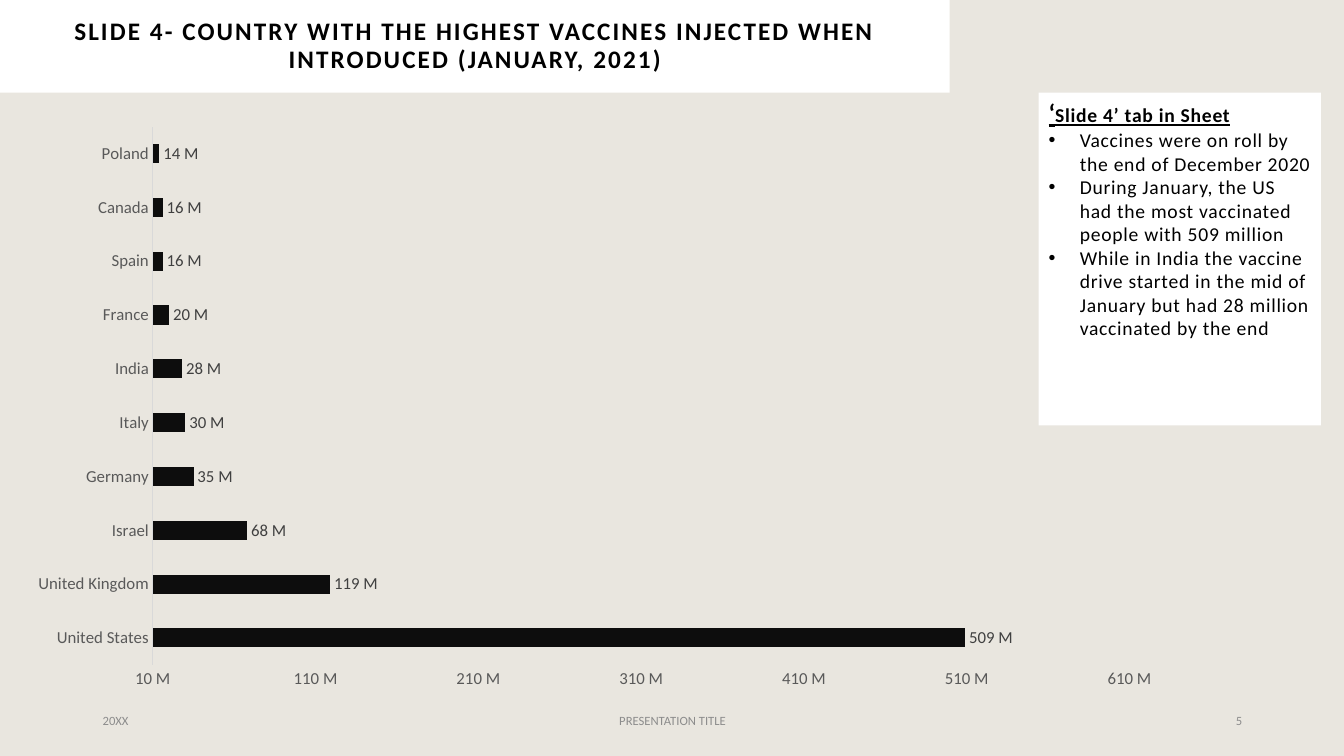
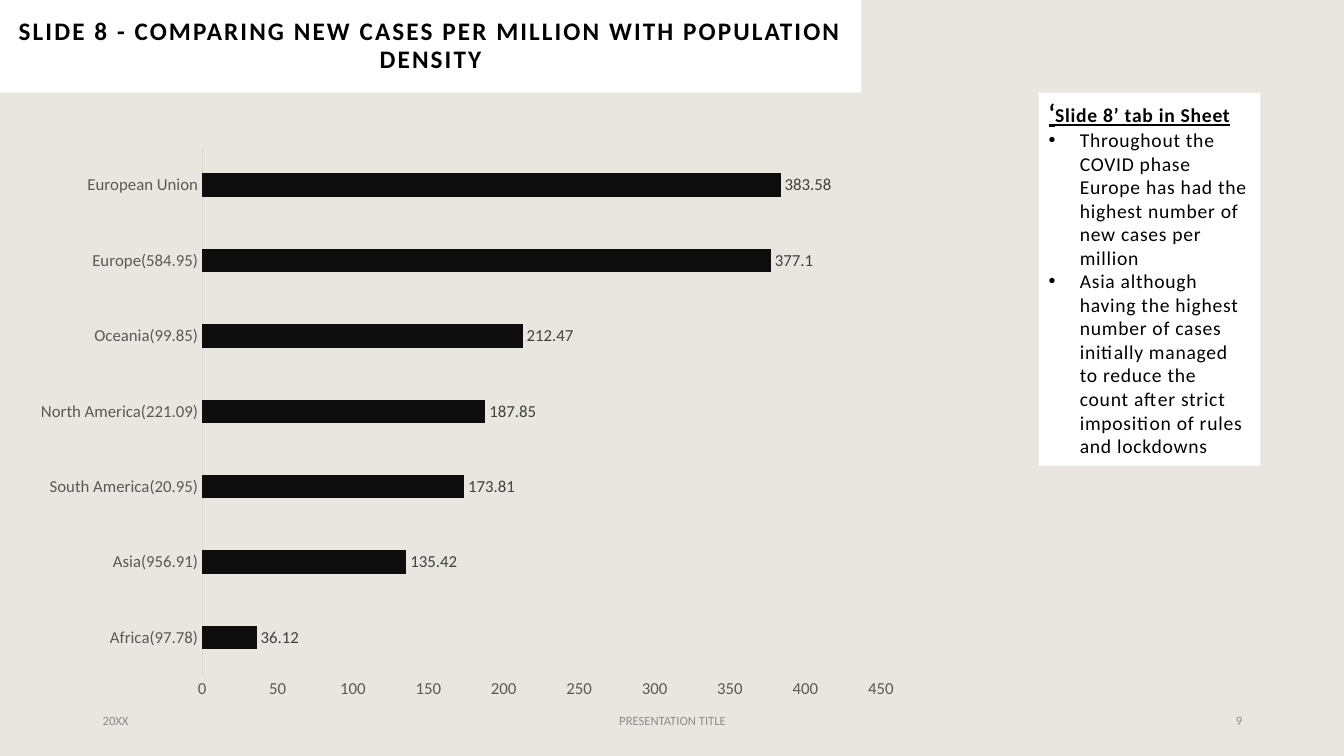
from lxml import etree
from pptx import Presentation
from pptx.chart.data import CategoryChartData
from pptx.dml.color import RGBColor
from pptx.enum.chart import XL_CHART_TYPE, XL_LABEL_POSITION, XL_TICK_MARK
from pptx.enum.text import MSO_ANCHOR, MSO_AUTO_SIZE, PP_ALIGN
from pptx.oxml import parse_xml
from pptx.oxml.ns import nsdecls, qn
from pptx.util import Inches, Pt

SAND = RGBColor(0xE9, 0xE6, 0xDF)
WHITE = RGBColor(0xFF, 0xFF, 0xFF)
BLACK = RGBColor(0x00, 0x00, 0x00)
INK = RGBColor(0x0D, 0x0D, 0x0D)
DARK = RGBColor(0x40, 0x40, 0x40)
GRAY = RGBColor(0x59, 0x59, 0x59)
PALE = RGBColor(0x8C, 0x8C, 0x8C)
RULE = RGBColor(0xD9, 0xD9, 0xD9)
FONT = "Calibri"
MILLION = '0,,\\ "M"'

SLIDES = [
    {
        "title": "SLIDE 4- COUNTRY WITH THE HIGHEST VACCINES INJECTED WHEN "
                 "INTRODUCED (JANUARY, 2021)",
        "band": 9.42, "page": "5", "note": (2.8, 3.3),
        "head": "Slide 4’ tab in Sheet",
        "points": [
            "Vaccines were on roll by the end of December 2020",
            "During January, the US had the most vaccinated people with 509 million",
            "While in India the vaccine drive started in the mid of January "
            "but had 28 million vaccinated by the end",
        ],
        "chart": (0.15, 1.14, 11.5, 5.81), "gap": 182, "format": MILLION,
        "scale": (10e6, 610e6, 100e6),
        "data": {
            "United States": 509e6, "United Kingdom": 119e6, "Israel": 68e6,
            "Germany": 35e6, "Italy": 30e6, "India": 28e6, "France": 20e6,
            "Spain": 16e6, "Canada": 16e6, "Poland": 14e6,
        },
    },
    {
        "title": "SLIDE 8 - COMPARING NEW CASES PER MILLION WITH POPULATION DENSITY",
        "band": 8.54, "page": "9", "note": (2.2, 3.7),
        "head": "Slide 8’ tab in Sheet",
        "points": [
            "Throughout the COVID phase Europe has had the highest number of "
            "new cases per million",
            "Asia although having the highest number of cases initially managed "
            "to reduce the count after strict imposition of rules and lockdowns",
        ],
        "chart": (0.23, 1.35, 8.81, 5.7), "gap": 219, "format": "General",
        "scale": (0, 450, 50),
        "data": {
            "Africa(97.78)": 36.12, "Asia(956.91)": 135.42,
            "South America(20.95)": 173.81, "North America(221.09)": 187.85,
            "Oceania(99.85)": 212.47, "Europe(584.95)": 377.1,
            "European Union": 383.58,
        },
    },
]


def place(shape, left, top, width, height, anchor):
    """Set the box of a text shape and return its wrapped frame."""
    shape.left, shape.top = Inches(left), Inches(top)
    shape.width, shape.height = Inches(width), Inches(height)
    frame = shape.text_frame
    frame.word_wrap = True
    frame.auto_size = MSO_AUTO_SIZE.NONE
    frame.vertical_anchor = anchor
    return frame


def add_run(para, text, size, color=BLACK, bold=False, line=False, space=0):
    """Add one styled run; space is the letter spacing in points."""
    run = para.add_run()
    run.text = text
    font = run.font
    font.name, font.size, font.bold, font.underline = FONT, Pt(size), bold, line
    font.color.rgb = color
    if space:
        run._r.get_or_add_rPr().set("spc", str(int(space * 100)))


prs = Presentation()
prs.slide_width, prs.slide_height = Inches(13.33), Inches(7.5)
back = prs.slide_master.background.fill
back.solid()
back.fore_color.rgb = SAND

for item in SLIDES:
    slide = prs.slides.add_slide(prs.slide_layouts[1])
    title, note = slide.placeholders
    for shape in (title, note):
        shape.fill.solid()
        shape.fill.fore_color.rgb = WHITE

    # Title band
    para = place(title, 0, 0, item["band"], 0.92, MSO_ANCHOR.MIDDLE).paragraphs[0]
    para.alignment = PP_ALIGN.CENTER
    para.line_spacing = 0.9
    add_run(para, item["title"], 18, bold=True, space=1.5)

    # Note with heading and bullets
    frame = place(note, 10.3, 0.92, *item["note"], MSO_ANCHOR.TOP)
    head = frame.paragraphs[0]
    add_run(head, "‘", 18, bold=True, line=True)
    add_run(head, item["head"], 14, bold=True, line=True, space=0.5)
    for point in item["points"]:
        add_run(frame.add_paragraph(), point, 14, space=0.5)
    for para in frame.paragraphs:
        para.space_before = Pt(0)
        props = para._p.get_or_add_pPr()
        indent = 0 if para._p is head._p else Inches(0.31)
        props.set("marL", str(indent))
        props.set("indent", str(-indent))
        if indent:
            etree.SubElement(props, qn("a:buFont")).set("typeface", "Arial")
            etree.SubElement(props, qn("a:buChar")).set("char", "•")
        else:
            etree.SubElement(props, qn("a:buNone"))

    # Footer
    for text, left, width, align in (
        ("20XX", 0.92, 3, PP_ALIGN.LEFT),
        ("PRESENTATION TITLE", 4.42, 4.5, PP_ALIGN.CENTER),
        (item["page"], 9.42, 3, PP_ALIGN.RIGHT),
    ):
        box = slide.shapes.add_textbox(0, 0, 0, 0)
        para = place(box, left, 6.95, width, 0.4, MSO_ANCHOR.MIDDLE).paragraphs[0]
        para.alignment = align
        add_run(para, text, 9, PALE)

    # Bar chart
    data = CategoryChartData(number_format=item["format"])
    data.categories = list(item["data"])
    data.add_series("Series 1", list(item["data"].values()))
    area = [Inches(n) for n in item["chart"]]
    chart = slide.shapes.add_chart(XL_CHART_TYPE.BAR_CLUSTERED, *area, data).chart
    chart.has_legend = chart.has_title = False
    chart.font.name, chart.font.size = FONT, Pt(10)
    chart._chartSpace.find(qn("c:chart")).addnext(parse_xml(
        f'<c:spPr {nsdecls("c", "a")}><a:noFill/><a:ln><a:noFill/></a:ln></c:spPr>'))

    cats, vals = chart.category_axis, chart.value_axis
    for axis in (cats, vals):
        axis.has_major_gridlines = False
        axis.major_tick_mark = axis.minor_tick_mark = XL_TICK_MARK.NONE
        font = axis.tick_labels.font
        font.name, font.size, font.color.rgb = FONT, Pt(12), GRAY
    cats.format.line.color.rgb = RULE
    cats.format.line.width = Pt(0.75)
    vals.format.line.fill.background()
    vals.minimum_scale, vals.maximum_scale, vals.major_unit = item["scale"]
    vals.tick_labels.number_format = item["format"]
    vals.tick_labels.number_format_is_linked = False

    plot = chart.plots[0]
    plot.gap_width = item["gap"]
    plot.vary_by_categories = False
    bars = plot.series[0]
    bars.format.fill.solid()
    bars.format.fill.fore_color.rgb = INK
    labels = bars.data_labels
    labels.show_value = True
    labels.position = XL_LABEL_POSITION.OUTSIDE_END
    labels.number_format = item["format"]
    labels.number_format_is_linked = False
    font = labels.font
    font.name, font.size, font.color.rgb = FONT, Pt(12), DARK

prs.save("out.pptx")
